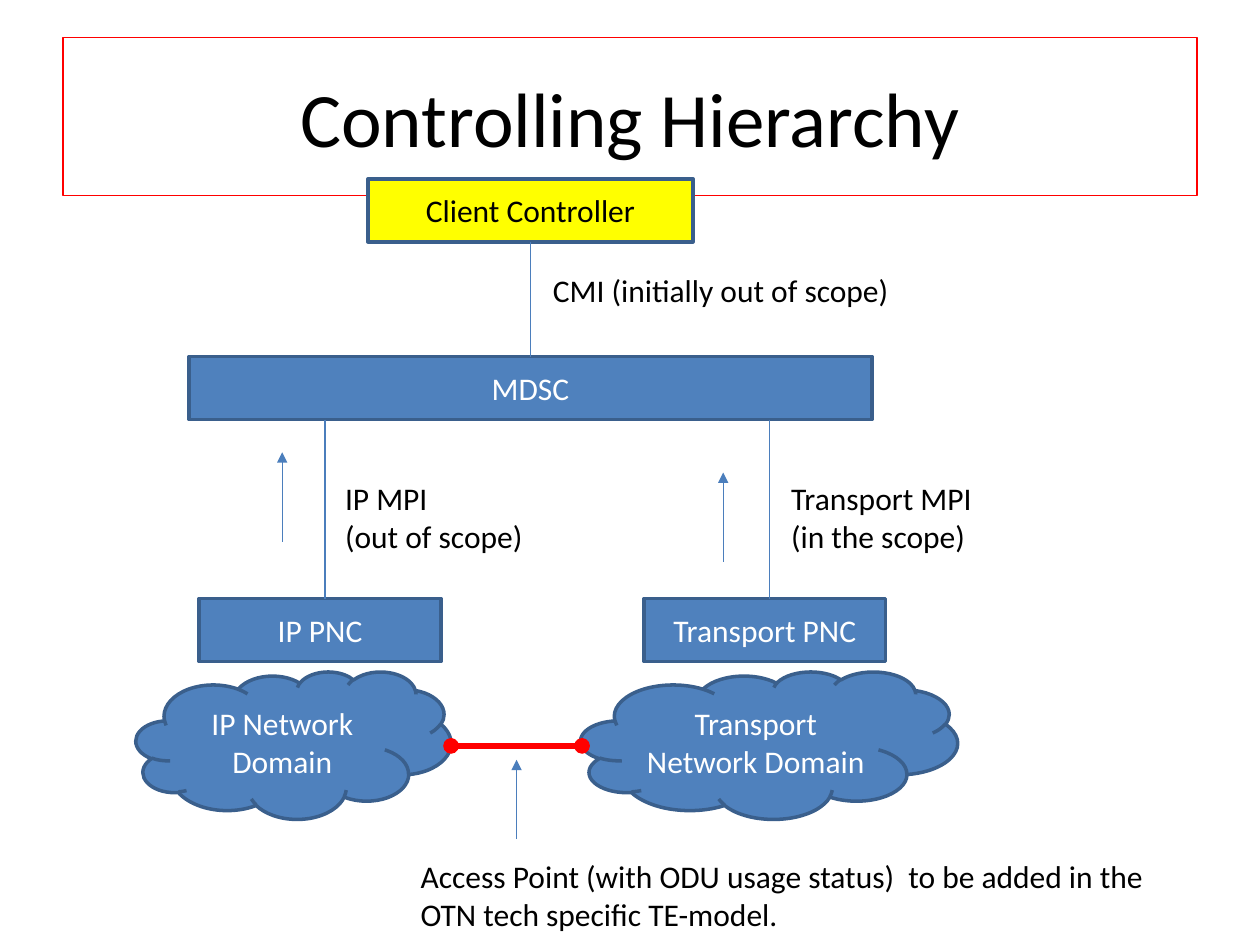
from lxml.etree import SubElement
from pptx import Presentation
from pptx.dml.color import RGBColor
from pptx.enum.shapes import MSO_CONNECTOR, MSO_SHAPE
from pptx.enum.text import MSO_ANCHOR, MSO_AUTO_SIZE, PP_ALIGN
from pptx.oxml.ns import qn
from pptx.util import Inches, Pt

COLORS = {
    "black": "000000", "white": "FFFFFF", "blue": "4F81BD", "outline": "3A5F8C",
    "line": "4B7EBC", "yellow": "FFFF00", "red": "FF0000",
}
BODY_SIZE = 18
TITLE_SIZE = 44

# text, preset, left, top, width, height, fill, font colour
NODES = [
    ("MDSC", MSO_SHAPE.RECTANGLE, 1.5, 2.83, 5.42, 0.5, "blue", "white"),
    ("Client Controller", MSO_SHAPE.RECTANGLE, 2.92, 1.42, 2.58, 0.5, "yellow", "black"),
    ("IP PNC", MSO_SHAPE.RECTANGLE, 1.58, 4.75, 1.92, 0.5, "blue", "white"),
    ("Transport PNC", MSO_SHAPE.RECTANGLE, 5.11, 4.75, 1.92, 0.5, "blue", "white"),
    ("IP Network Domain", MSO_SHAPE.CLOUD, 1.08, 5.33, 2.5, 1.17, "blue", "white"),
    ("Transport Network Domain", MSO_SHAPE.CLOUD, 4.61, 5.33, 2.99, 1.17, "blue", "white"),
]

# lines of text, left, top, width, height
LABELS = [
    (["CMI (initially out of scope)"], 4.29, 2.1, 2.9, 0.4),
    (["IP MPI", "(out of scope)"], 2.64, 3.75, 1.63, 0.71),
    (["Transport MPI", "(in the scope)"], 6.18, 3.75, 1.65, 0.71),
    (["Access Point (with ODU usage status)  to be added in the",
      "OTN tech specific TE-model."], 3.24, 6.75, 6.07, 0.71),
]

# x, start y, end y
INTERFACES = [(4.21, 1.92, 2.83), (2.58, 3.33, 4.75), (6.11, 3.33, 4.75)]
UP_ARROWS = [(4.1, 6.66, 6.03), (2.24, 4.3, 3.59), (5.74, 4.46, 3.75)]


def rgb(name):
    return RGBColor.from_string(COLORS[name])


def set_outline(shape, color, width):
    shape.line.color.rgb = rgb(color)
    shape.line.width = Pt(width)


def write_text(frame, lines, color, size=BODY_SIZE, align=PP_ALIGN.LEFT):
    font_format = {"name": "Calibri", "size": Pt(size)}
    for index, line in enumerate(lines):
        paragraph = frame.add_paragraph() if index else frame.paragraphs[0]
        paragraph.alignment = align
        run = paragraph.add_run()
        run.text = line
        for attribute, value in font_format.items():
            setattr(run.font, attribute, value)
        run.font.color.rgb = rgb(color)


def add_title(slide, text):
    title = slide.shapes.title
    place = {"left": 0.5, "top": 0.3, "width": 9, "height": 1.25}
    for attribute, value in place.items():
        setattr(title, attribute, Inches(value))
    set_outline(title, "red", 0.75)
    title.text_frame.vertical_anchor = MSO_ANCHOR.MIDDLE
    write_text(title.text_frame, [text], "black", TITLE_SIZE, PP_ALIGN.CENTER)


def add_node(slide, text, preset, left, top, width, height, fill, font_color):
    """Add a controller box or a network cloud."""
    shape = slide.shapes.add_shape(
        preset, Inches(left), Inches(top), Inches(width), Inches(height))
    shape.shadow.inherit = False
    shape.fill.solid()
    shape.fill.fore_color.rgb = rgb(fill)
    set_outline(shape, "outline", 2)
    shape.text_frame.word_wrap = True
    shape.text_frame.vertical_anchor = MSO_ANCHOR.MIDDLE
    write_text(shape.text_frame, [text], font_color, align=PP_ALIGN.CENTER)


def add_label(slide, lines, left, top, width, height):
    box = slide.shapes.add_textbox(
        Inches(left), Inches(top), Inches(width), Inches(height))
    box.text_frame.word_wrap = False
    box.text_frame.auto_size = MSO_AUTO_SIZE.SHAPE_TO_FIT_TEXT
    write_text(box.text_frame, lines, "black")


def add_line(slide, start, end, color="line", width=0.75, head=None, tail=None):
    """Join two points; head and tail are the end marks at start and end."""
    connector = slide.shapes.add_connector(
        MSO_CONNECTOR.STRAIGHT, *(Inches(value) for value in (*start, *end)))
    set_outline(connector, color, width)
    properties = connector.element.spPr
    outline = properties.find(qn("a:ln"))
    for tag, mark in (("a:headEnd", head), ("a:tailEnd", tail)):
        if mark:
            SubElement(outline, qn(tag), type=mark)
    SubElement(properties, qn("a:effectLst"))


def main():
    presentation = Presentation()
    presentation.slide_width = Inches(10)
    presentation.slide_height = Inches(7.5)
    slide = presentation.slides.add_slide(presentation.slide_layouts[5])

    add_title(slide, "Controlling Hierarchy")
    for node in NODES:
        add_node(slide, *node)
    for label in LABELS:
        add_label(slide, *label)
    for x, top, bottom in INTERFACES:
        add_line(slide, (x, top), (x, bottom))
    add_line(slide, (3.58, 5.92), (4.62, 5.92), "red", 3, "oval", "oval")
    for x, bottom, top in UP_ARROWS:
        add_line(slide, (x, bottom), (x, top), tail="triangle")

    presentation.save("out.pptx")


if __name__ == "__main__":
    main()
